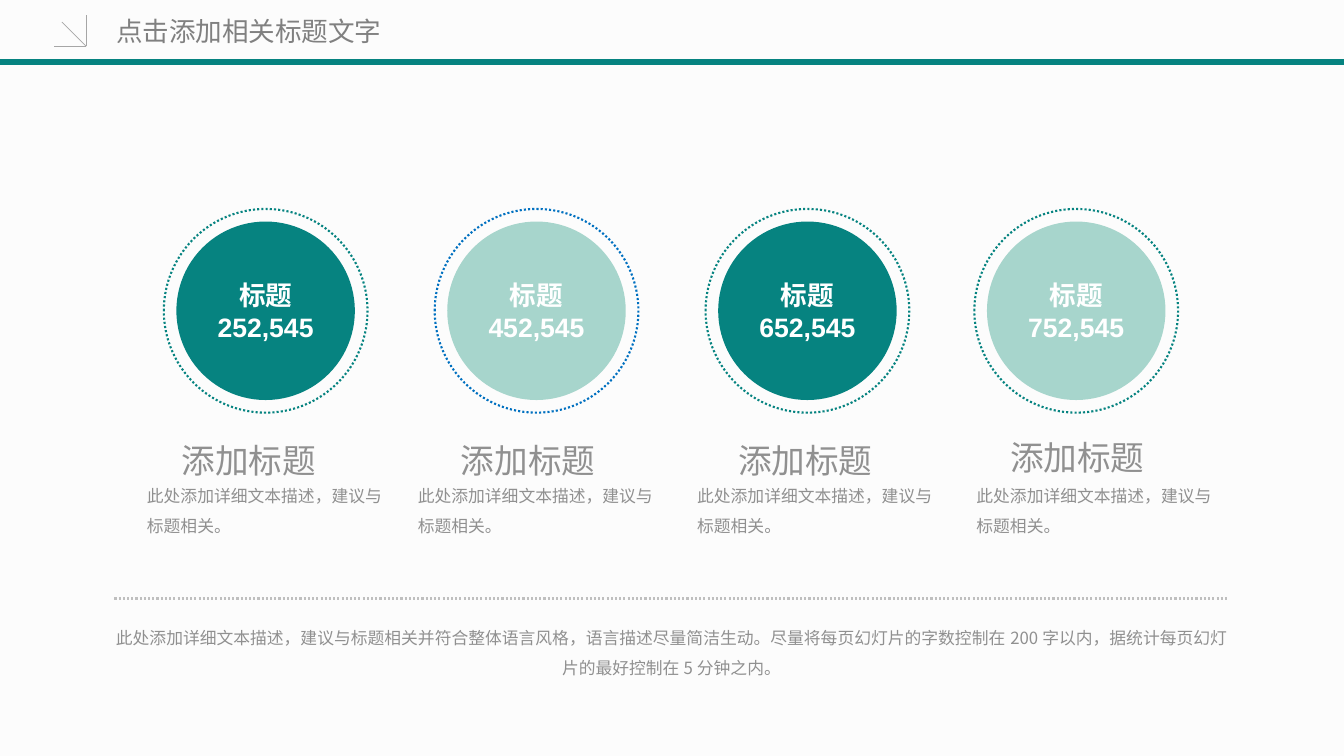
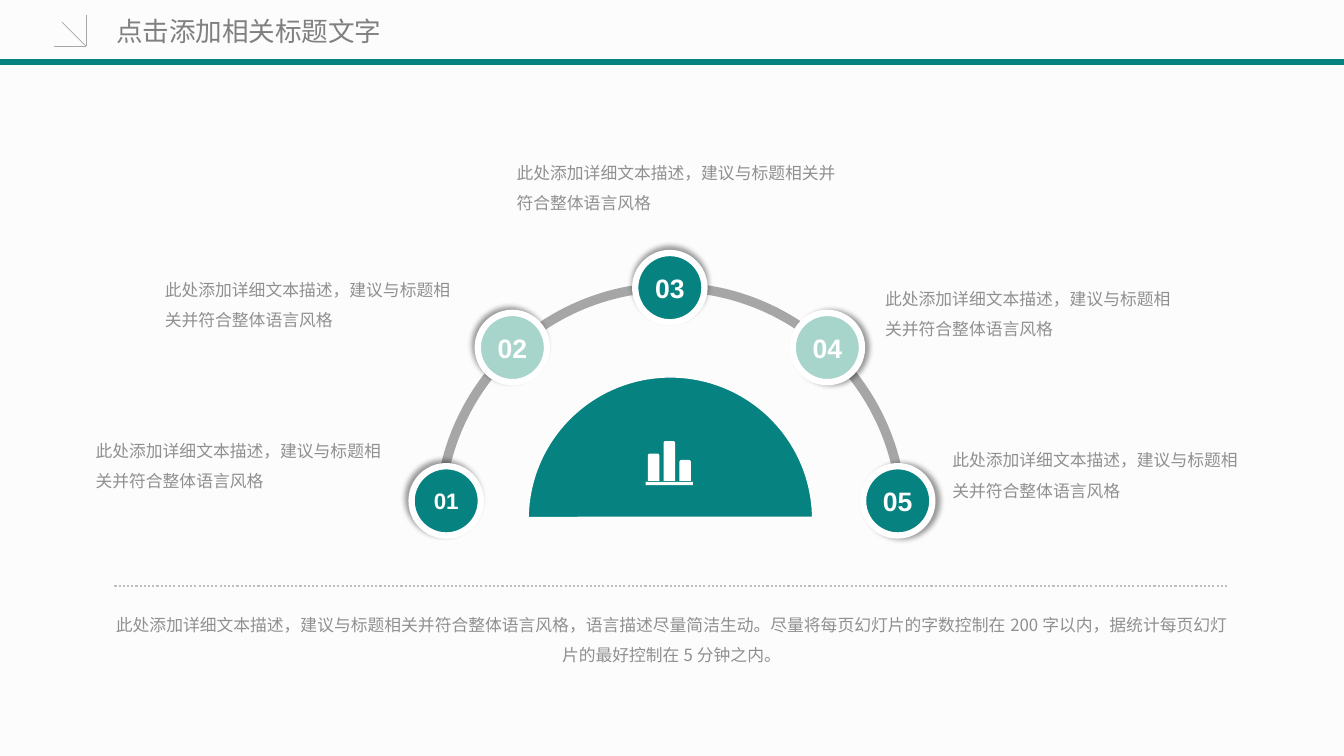
import pptx
import pptx.util
import pptx.dml.color
import pptx.enum.dml
import pptx.enum.shapes
import pptx.enum.text
import pptx.oxml
import pptx.oxml.ns

SHAPE = pptx.enum.shapes.MSO_SHAPE
ALIGN = pptx.enum.text.PP_ALIGN
ANCHOR = pptx.enum.text.MSO_ANCHOR

TEAL, MINT, BLUE = "068380", "A7D5CC", "0070C0"
GRAY, SILVER, WHITE = "A6A6A6", "BFBFBF", "FFFFFF"
TITLE_COLOR, BODY_COLOR, PAPER = "808080", "909090", "FCFCFC"
CJK, LATIN = "Noto Sans CJK SC", "Arial"

TITLE = "点击添加相关标题文字"
SHORT = "此处添加详细文本描述，建议与标题相关。"
MEDIUM = "此处添加详细文本描述，建议与标题相关并符合整体语言风格"
SUMMARY = (MEDIUM + "，语言描述尽量简洁生动。尽量将每页幻灯片的字数控制在200字以内，"
           "据统计每页幻灯片的最好控制在5分钟之内。")


def px(n):
    """96 px to the inch, so the slide is 1280 by 720."""
    return pptx.util.Emu(n * 9525)


def rgb(value):
    return pptx.dml.color.RGBColor.from_string(value)


class Deck:
    def __init__(self):
        self.prs = pptx.Presentation()
        self.prs.slide_width, self.prs.slide_height = px(1280), px(720)
        self.s = None

    def slide(self, title):
        """Start a slide with the shared band, corner arrow and title."""
        self.s = self.prs.slides.add_slide(self.prs.slide_layouts[5])
        self.s.background.fill.solid()
        self.s.background.fill.fore_color.rgb = rgb(PAPER)
        self.line(0, 59, 1280, 59, TEAL, 4.5)
        for x, y in [(51, 44), (82, 14), (59, 21)]:
            self.line(82, 44, x, y, GRAY, 0.5)
        sp = self.s.shapes.title
        sp.left, sp.top, sp.width, sp.height = px(101), px(8), px(294), px(42)
        tf = sp.text_frame
        tf.auto_size = pptx.enum.text.MSO_AUTO_SIZE.NONE
        tf.vertical_anchor = ANCHOR.MIDDLE
        self.add_lines(tf, [title], 19, TITLE_COLOR)

    def add_lines(self, tf, lines, size, color, font=CJK, bold=False,
                  align=ALIGN.LEFT, spacing=1.0):
        tf.word_wrap = True
        for i, line in enumerate(lines):
            p = tf.add_paragraph() if i else tf.paragraphs[0]
            p.alignment, p.line_spacing = align, spacing
            r = p.add_run()
            r.text = line
            r.font.size, r.font.bold = pptx.util.Pt(size), bold
            r.font.name, r.font.color.rgb = font, rgb(color)
            rPr = r.font._element
            rPr.append(rPr.makeelement(pptx.oxml.ns.qn("a:ea"), {"typeface": CJK}))

    def no_insets(self, tf):
        tf.margin_left = tf.margin_right = tf.margin_top = tf.margin_bottom = 0

    def text(self, x, y, w, h, text, size=12, align=ALIGN.LEFT):
        tf = self.s.shapes.add_textbox(px(x), px(y), px(w), px(h)).text_frame
        self.no_insets(tf)
        self.add_lines(tf, [text], size, BODY_COLOR, align=align, spacing=1.5)

    def stroke(self, line, color, width, dotted=False):
        line.color.rgb, line.width = rgb(color), pptx.util.Pt(width)
        if dotted:
            line.dash_style = pptx.enum.dml.MSO_LINE.ROUND_DOT

    def line(self, x1, y1, x2, y2, color, width, dotted=False):
        cn = self.s.shapes.add_connector(
            pptx.enum.shapes.MSO_CONNECTOR.STRAIGHT, px(x1), px(y1), px(x2), px(y2))
        self.stroke(cn.line, color, width, dotted)
        spPr = cn._element.spPr
        spPr.append(spPr.makeelement(pptx.oxml.ns.qn("a:effectLst")))

    def shape(self, kind, x, y, w, h, fill=None, line=None, width=1,
              dotted=False, adjust=()):
        sp = self.s.shapes.add_shape(kind, px(x), px(y), px(w), px(h))
        sp.shadow.inherit = False
        for i, value in enumerate(adjust):
            sp.adjustments[i] = value
        if fill:
            sp.fill.solid()
            sp.fill.fore_color.rgb = rgb(fill)
        else:
            sp.fill.background()
        if line:
            self.stroke(sp.line, line, width, dotted)
        else:
            sp.line.fill.background()
        return sp

    def label(self, sp, lines, size=19):
        sp.text_frame.vertical_anchor = ANCHOR.MIDDLE
        self.add_lines(sp.text_frame, lines, size, WHITE, LATIN, True, ALIGN.CENTER)

    def shadow(self, sp, angle):
        effects = sp._element.spPr.find(pptx.oxml.ns.qn("a:effectLst"))
        effects.append(pptx.oxml.parse_xml(
            f'<a:outerShdw {pptx.oxml.ns.nsdecls("a")} blurRad="{pptx.util.Pt(4)}" '
            f'dist="{pptx.util.Pt(3)}" dir="{angle * 60000}" algn="ctr" rotWithShape="0">'
            '<a:srgbClr val="000000"><a:alpha val="40000"/></a:srgbClr></a:outerShdw>'))

    def summary(self, y):
        """Dotted rule with the closing paragraph below it."""
        self.line(109, y, 1170, y, SILVER, 1.5, True)
        self.text(108, y + 18, 1063, 98, SUMMARY, align=ALIGN.CENTER)


def figures_slide(d):
    d.slide(TITLE)
    # Ring left, ring colour, disc colour, figure, heading left and top, body left
    cards = [
        (156, TEAL, TEAL, "252,545", 173, 400, 140),
        (414, BLUE, MINT, "452,545", 439, 400, 398),
        (672, TEAL, TEAL, "652,545", 703, 400, 664),
        (928, TEAL, MINT, "752,545", 962, 397, 930),
    ]
    for x, ring, disc, figure, head_x, head_y, body_x in cards:
        d.shape(SHAPE.OVAL, x, 199, 194, 194, line=ring, width=1.5, dotted=True)
        sp = d.shape(SHAPE.OVAL, x + 12, 211, 170, 170, disc)
        d.label(sp, ["标题", figure])
        d.text(body_x, 453, 226, 100, SHORT)
        d.text(head_x, head_y, 150, 52, "添加标题", 24)
    d.summary(570)


def arc_slide(d):
    d.slide(TITLE)
    # Arc in two quarters
    for start, end in [(108, 162), (162, 215.89)]:
        d.shape(SHAPE.BLOCK_ARC, 414, 269, 450, 450, GRAY, adjust=(start, end, 0.02))

    # Numbered nodes: left, top, colour, shadow angle, size; text left, top, width
    nodes = [
        (392, 444, TEAL, 225, 16, 91, 410, 273),
        (455, 298, MINT, 225, 19, 157, 257, 273),
        (605, 241, TEAL, 270, 19, 492, 145, 308),
        (755, 298, MINT, 0, 19, 843, 265, 273),
        (822, 444, TEAL, 0, 19, 907, 419, 273),
    ]
    for i, (x, y, color, angle, size, text_x, text_y, text_w) in enumerate(nodes, 1):
        sp = d.shape(SHAPE.OVAL, x, y, 66, 66, color, WHITE, 4.5)
        d.shadow(sp, angle)
        d.no_insets(sp.text_frame)
        d.label(sp, [f"{i:02d}"], size)
        d.text(text_x, text_y, text_w, 111, MEDIUM)

    # Half disc with a bar chart icon
    d.shape(SHAPE.CHORD, 503, 359, 271, 271, TEAL, WHITE, adjust=(108.41, 215.52))
    for x, top in [(617, 432), (632, 420), (647, 438)]:
        d.shape(SHAPE.ROUND_2_SAME_RECTANGLE, x, top, 11, 458 - top, WHITE, adjust=(0.17, 0))
    d.shape(SHAPE.RECTANGLE, 615, 459, 45, 3, WHITE)
    d.summary(558)


def main():
    d = Deck()
    figures_slide(d)
    arc_slide(d)
    d.prs.save("out.pptx")


if __name__ == "__main__":
    main()
